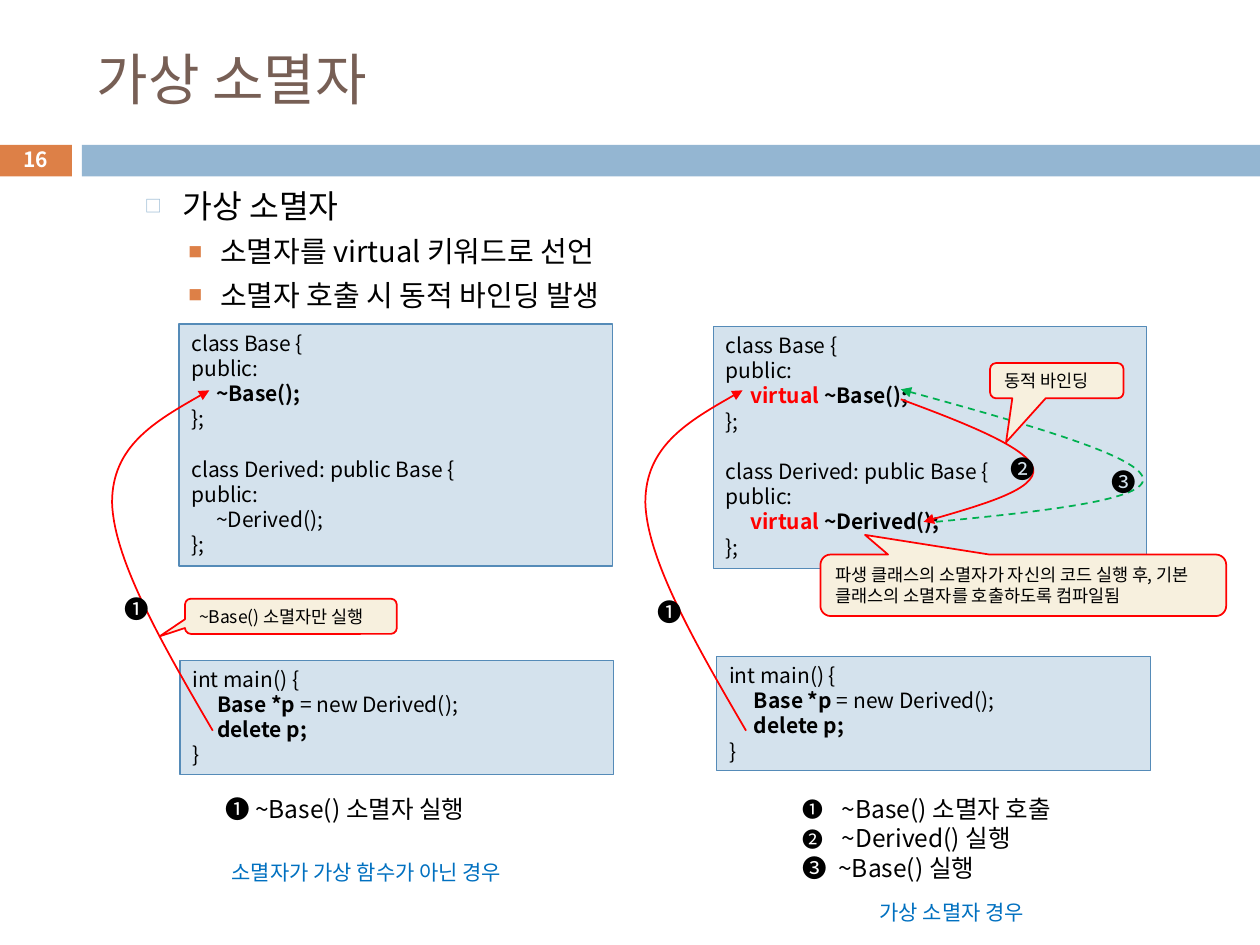
from lxml.etree import SubElement
from pptx import Presentation
from pptx.dml.color import RGBColor
from pptx.enum.dml import MSO_LINE
from pptx.enum.shapes import MSO_SHAPE
from pptx.enum.text import MSO_ANCHOR, PP_ALIGN
from pptx.oxml.ns import qn
from pptx.util import Cm, Pt

FONT = "Noto Sans CJK KR"
LEADING = 1.2
COLORS = {
    "black": "000000", "white": "FFFFFF", "title": "775F55", "orange": "DD8047",
    "bar": "94B6D2", "code": "D4E2ED", "code_edge": "558BB8", "note": "F7F0DE",
    "red": "FF0000", "green": "00B050", "caption": "0070C0",
}
BOLD = {"bold": True}
RED = {"bold": True, "color": "red"}

# Content: a line is a list of (text, format) runs or a plain string
TITLE = "가상 소멸자"
PAGE = "16"
TOPIC = "가상 소멸자"
POINTS = ["소멸자를 virtual 키워드로 선언", "소멸자 호출 시 동적 바인딩 발생"]


def class_code(base, derived):
    return ["class Base {", "public:", base, "};",
            "class Derived: public Base {", "public:", derived, "};"]


MAIN_CODE = [
    "int main() {",
    [("\t", {}), ("Base *p ", BOLD), ("= new Derived();", {})],
    [("\t", {}), ("delete p;", BOLD)],
    "}",
]
PLAIN_CODE = class_code([("\t", {}), ("~Base();", BOLD)], "\t~Derived();")
VIRTUAL_CODE = class_code(
    [("\t", {}), ("virtual ", RED), ("~Base();", BOLD)],
    [("\t", {}), ("virtual ", RED), ("~Derived();", BOLD)])

CODE_BOXES = [  # left, top, height, lines
    (14.38, 6.58, 4.88, VIRTUAL_CODE),
    (3.61, 6.53, 4.88, PLAIN_CODE),
    (3.63, 13.31, 2.31, MAIN_CODE),
    (14.45, 13.23, 2.31, MAIN_CODE),
]
CODE_WIDTH = 8.74

DELETE_CALL = [(4.29, 14.73), (3.28, 13), (2.29, 11.28), (2.26, 10.13),
               (2.26, 8.99), (3.23, 8.43), (4.22, 7.87)]
RIGHT_SHIFT = 10.75
CURVES = [  # colour, dash, start followed by Bezier points in threes
    ("green", MSO_LINE.DASH,
     [(18.87, 10.52), (21.03, 10.31), (23.16, 10.08), (23.04, 9.63),
      (22.91, 9.17), (20.55, 8.51), (18.16, 7.85)]),
    ("red", None, DELETE_CALL),
    ("red", None, [(x + RIGHT_SHIFT, y) for x, y in DELETE_CALL]),
    ("red", None,
     [(18.16, 8.05), (19.46, 8.53), (20.75, 9.04), (20.83, 9.45),
      (20.9, 9.86), (19.76, 10.19), (18.62, 10.52)]),
]
CALLOUTS = [  # frame, pointer, text
    ((3.73, 12.07, 4.27, 0.71), (-0.62, 0.57), "~Base() 소멸자만 실행"),
    ((19.96, 7.32, 2.69, 0.71), (-0.38, 1.75), "동적 바인딩"),
    ((16.54, 11.18, 8.18, 1.24), (-0.39, -0.82),
     "파생 클래스의 소멸자가 자신의 코드 실행 후, 기본 클래스의 소멸자를 호출하도록 컴파일됨"),
]
STEPS = [(2.26, 11.86, "❶"), (13, 11.91, "❶"), (20.12, 9.02, "❷"), (22.15, 9.3, "❸")]
CAPTIONS = [  # frame, text, size, colour
    ((4.42, 17.2, 6.68, 0.76), "소멸자가 가상 함수가 아닌 경우", 12, "caption"),
    ((17.48, 18.01, 3.81, 0.76), "가상 소멸자 경우", 12, "caption"),
    ((4.29, 15.88, 5.66, 0.86), "❶ ~Base() 소멸자 실행", 14, "black"),
]
CALL_ORDER = [("❶", "~Base() 소멸자 호출"), ("❷", "~Derived() 실행")]
LAST_CALL = "❸\t~Base() 실행"

prs = Presentation()
prs.slide_width, prs.slide_height = Cm(25.4), Cm(19.05)
shapes = prs.slides.add_slide(prs.slide_layouts[6]).shapes


def rgb(name):
    return RGBColor.from_string(COLORS[name])


def apply(target, values):
    for key, value in values.items():
        setattr(target, key, value)


def write(frame, lines, size, color="black", tab=None, **paragraph_format):
    """Fill a text frame and return its paragraphs."""
    frame.word_wrap = True
    for number, line in enumerate(lines):
        runs = [(line, {})] if isinstance(line, str) else line
        par = frame.add_paragraph() if number else frame.paragraphs[0]
        apply(par, {"alignment": PP_ALIGN.LEFT, "line_spacing": Pt(size * LEADING),
                    **paragraph_format})
        if tab and any("\t" in text for text, _ in runs):
            stops = SubElement(par._p.get_or_add_pPr(), qn("a:tabLst"))
            SubElement(stops, qn("a:tab"), pos=str(Cm(tab)), algn="l")
        for text, style in runs:
            run = par.add_run()
            run.text = text
            apply(run.font, {"name": FONT, "size": Pt(size),
                             "bold": style.get("bold", False)})
            run.font.color.rgb = rgb(style.get("color", color))
            SubElement(run._r.get_or_add_rPr(), qn("a:ea"), typeface=FONT)
    return frame.paragraphs


def add_text(frame, lines, size, anchor=MSO_ANCHOR.TOP, **options):
    box = shapes.add_textbox(*map(Cm, frame)).text_frame
    box.vertical_anchor = anchor
    return write(box, lines, size, **options)


def add_bullet(par, char, margin, hang, color=None, percent=85):
    props = par._p.get_or_add_pPr()
    props.set("marL", str(Cm(margin)))
    props.set("indent", str(-Cm(hang)))
    if color:
        SubElement(SubElement(props, qn("a:buClr")), qn("a:srgbClr"), val=COLORS[color])
    SubElement(props, qn("a:buSzPct"), val=str(percent * 1000))
    SubElement(props, qn("a:buFont"), typeface=FONT)
    SubElement(props, qn("a:buChar"), char=char)


def add_box(kind, frame, fill, edge=None, weight=1.0):
    box = shapes.add_shape(kind, *map(Cm, frame))
    box.shadow.inherit = False
    box.fill.solid()
    box.fill.fore_color.rgb = rgb(fill)
    if edge:
        box.line.color.rgb = rgb(edge)
        box.line.width = Pt(weight)
    else:
        box.line.fill.background()
    return box


def add_curve(color, dash, points):
    start, *rest = [(Cm(x), Cm(y)) for x, y in points]
    builder = shapes.build_freeform(*start)
    builder.add_line_segments(rest, close=False)
    curve = builder.convert_to_shape()
    curve.shadow.inherit = False
    curve.fill.background()
    curve.line.color.rgb = rgb(color)
    apply(curve.line, {"width": Pt(1), "dash_style": dash})
    props = curve._element.spPr
    SubElement(props.find(qn("a:ln")), qn("a:tailEnd"), type="triangle")
    # Every three straight segments become one cubic Bezier
    outline = next(props.iter(qn("a:path")))
    segments = outline.findall(qn("a:lnTo"))
    for first in range(0, len(segments), 3):
        bezier = SubElement(outline, qn("a:cubicBezTo"))
        for segment in segments[first:first + 3]:
            bezier.append(segment[0])
            outline.remove(segment)


# Header
add_box(MSO_SHAPE.RECTANGLE, (0, 2.92, 1.45, 0.64), "orange")
add_box(MSO_SHAPE.RECTANGLE, (1.65, 2.92, 23.75, 0.64), "bar")
add_text((1.7, 0.64, 22.66, 1.88), [TITLE], 32, MSO_ANCHOR.MIDDLE, color="title")
add_text((0, 2.87, 1.45, 0.69), [[(PAGE, BOLD)]], 12, MSO_ANCHOR.MIDDLE,
         color="white", alignment=PP_ALIGN.CENTER)

# Topic and points
topic, *points = add_text((1.65, 3.63, 22.66, 2.49), [TOPIC, *POINTS], 16.6,
                          space_before=Pt(5))
topic.runs[0].font.size = Pt(18.5)
apply(topic, {"line_spacing": Pt(18.5 * LEADING), "space_before": Pt(5.5)})
add_bullet(topic, "□", 1.78, 0.76, "bar", 52)
for point in points:
    add_bullet(point, "■", 2.54, 0.64, "orange", 48)

# Code
for left, top, height, lines in CODE_BOXES:
    box = add_box(MSO_SHAPE.RECTANGLE, (left, top, CODE_WIDTH, height),
                  "code", "code_edge", 0.75)
    box.text_frame.vertical_anchor = MSO_ANCHOR.TOP
    for par in write(box.text_frame, lines, 12, tab=0.5):
        if par.text.startswith("class Derived"):
            par.space_before = Pt(12 * LEADING)

# Call arrows
for curve in CURVES:
    add_curve(*curve)

# Callouts
for frame, pointer, text in CALLOUTS:
    note = add_box(MSO_SHAPE.ROUNDED_RECTANGULAR_CALLOUT, frame, "note", "red")
    for index, value in enumerate(pointer):
        note.adjustments[index] = value
    note.text_frame.vertical_anchor = MSO_ANCHOR.MIDDLE
    write(note.text_frame, [text], 10)

# Step numbers and captions
for left, top, number in STEPS:
    add_text((left, top, 0.97, 0.86), [number], 14)
for frame, text, size, color in CAPTIONS:
    add_text(frame, [text], size, color=color)
calls = add_text((15.93, 15.88, 5.84, 2.06),
                 [text for _, text in CALL_ORDER] + [LAST_CALL], 14, tab=0.72)
for par, (number, _) in zip(calls, CALL_ORDER):
    add_bullet(par, number, 0.79, 0.79)

prs.save("out.pptx")
